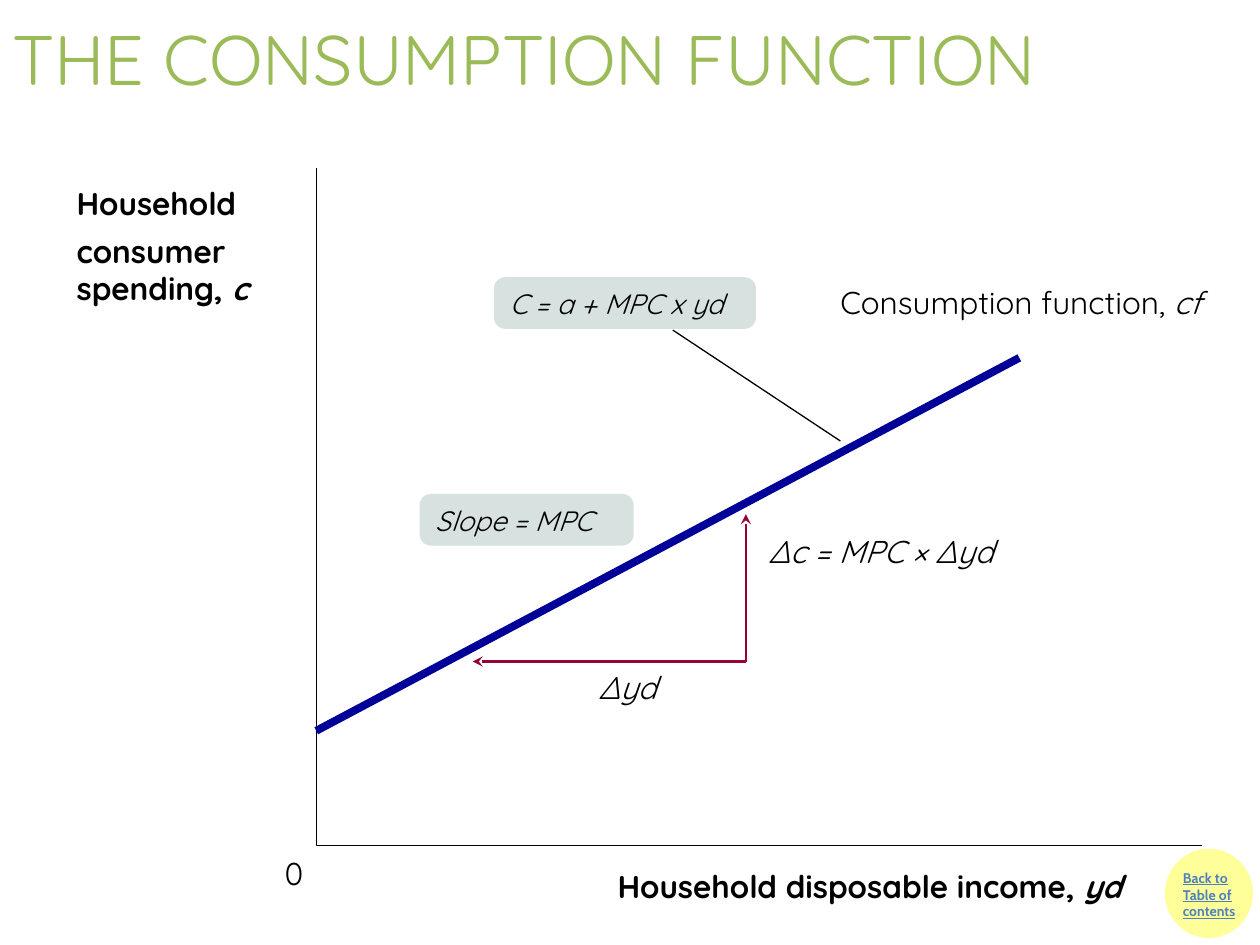
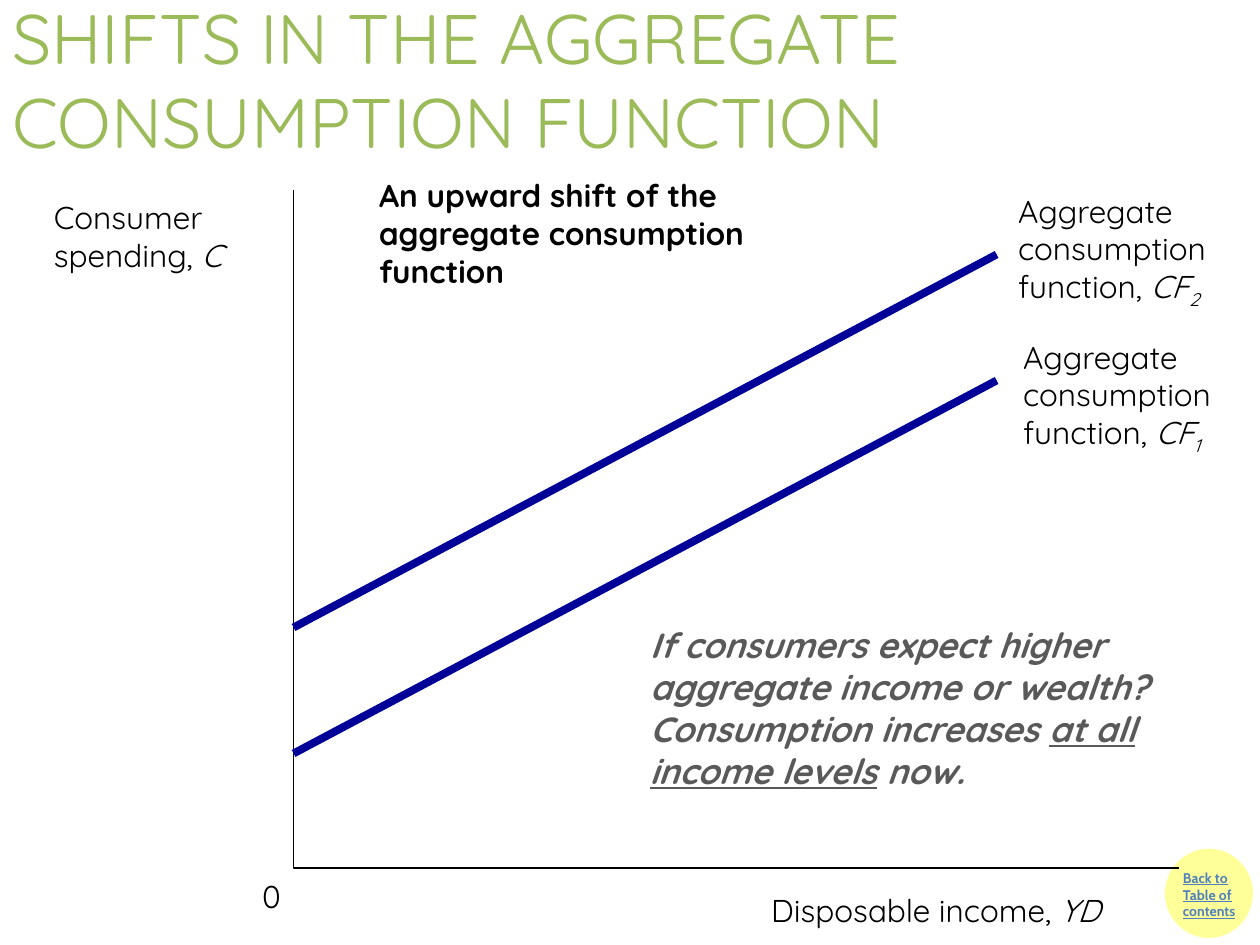
from lxml.etree import SubElement
from pptx import Presentation
from pptx.dml.color import RGBColor
from pptx.enum.shapes import MSO_CONNECTOR, MSO_SHAPE
from pptx.enum.text import MSO_ANCHOR, PP_ALIGN
from pptx.oxml.ns import qn
from pptx.util import Inches, Pt

COLORS = {"title": "9BBB59", "text": "000000", "note": "595959",
          "curve": "000099", "change": "990033", "pill": "D7E2E0",
          "badge": "FFFF99", "link": "4F81BD"}
ITALIC = {"italic": True}
BOLD = {"bold": True}
SUBSCRIPT = {"baseline": -25000}

AXIS_W, AXIS_H = 7.03, 5.38
CURVE_RUN, CURVE_RISE = 5.58, 2.96


def rgb(name):
    return RGBColor.from_string(COLORS[name])


class Deck:
    """Holds the shared style and the slide being built."""
    base = {"name": "Quicksand", "size": 18, "color": "text"}

    def __init__(self):
        self.prs = Presentation()
        self.prs.slide_width, self.prs.slide_height = Inches(10), Inches(7.5)
        self.s = None

    def slide(self, title, title_height):
        self.s = self.prs.slides.add_slide(self.prs.slide_layouts[6])
        self.badge()
        self.text(0, 0, 10, title_height, [title],
                  {"size": 40, "color": "title"}, anchor=MSO_ANCHOR.MIDDLE)

    def badge(self):
        sp = self.shape(MSO_SHAPE.OVAL, 9.26, 6.75, 0.67, 0.68, "badge")
        sp.line.color.rgb = rgb("badge")
        sp.line.width = Pt(2)
        self.text(9.29, 6.85, 0.72, 0.67, ["Back to Table of contents"],
                  {"name": "Cabin", "size": 8, "color": "link",
                   "bold": True, "underline": True})

    def shape(self, kind, x, y, w, h, fill):
        sp = self.s.shapes.add_shape(kind, *map(Inches, (x, y, w, h)))
        sp.shadow.inherit = False
        sp.fill.solid()
        sp.fill.fore_color.rgb = rgb(fill)
        sp.line.fill.background()
        return sp

    def text(self, x, y, w, h, paragraphs, style=None, **layout):
        sp = self.s.shapes.add_textbox(*map(Inches, (x, y, w, h)))
        self.fill_frame(sp.text_frame, paragraphs, style or {}, **layout)

    def fill_frame(self, tf, paragraphs, style, inset=(0.1, 0.05),
                   anchor=MSO_ANCHOR.TOP, align=PP_ALIGN.LEFT, first_spacing=None):
        """Write paragraphs, each a string or a list of strings and (text, format) pairs."""
        tf.word_wrap = True
        tf.vertical_anchor = anchor
        tf.margin_left = tf.margin_right = Inches(inset[0])
        tf.margin_top = tf.margin_bottom = Inches(inset[1])
        for i, runs in enumerate(paragraphs):
            p = tf.add_paragraph() if i else tf.paragraphs[0]
            p.alignment = align
            if first_spacing and not i:
                p.line_spacing = first_spacing
            for run in [runs] if isinstance(runs, str) else runs:
                words, extra = (run, {}) if isinstance(run, str) else run
                r = p.add_run()
                r.text = words
                self.format_run(r, {**self.base, **style, **extra})

    def format_run(self, r, fmt):
        for key, value in fmt.items():
            if key == "color":
                r.font.color.rgb = rgb(value)
            elif key == "baseline":
                r._r.get_or_add_rPr().set("baseline", str(value))
            else:
                setattr(r.font, key, Pt(value) if key == "size" else value)

    def pill(self, x, y, w, words):
        sp = self.shape(MSO_SHAPE.ROUNDED_RECTANGLE, x, y, w, 0.41, "pill")
        sp.adjustments[0] = 0.22
        self.fill_frame(sp.text_frame, [words], {"size": 16, **ITALIC})

    def line(self, start, end, color, width, arrow=False):
        c = self.s.shapes.add_connector(
            MSO_CONNECTOR.STRAIGHT, *map(Inches, (*start, *end)))
        c.line.color.rgb = rgb(color)
        c.line.width = Pt(width)
        if arrow:
            SubElement(c.line._get_or_add_ln(), qn("a:tailEnd"), type="stealth")
        SubElement(c._element.spPr, qn("a:effectLst"))

    def curve(self, x, y):
        self.line((x, y), (x + CURVE_RUN, y - CURVE_RISE), "curve", 4.5)

    def axes(self, x, y):
        """Draw both axes from the origin (x, y) and label the origin."""
        fb = self.s.shapes.build_freeform(Inches(x + AXIS_W), Inches(y))
        fb.add_line_segments([(Inches(x), Inches(y)),
                              (Inches(x), Inches(y - AXIS_H))], close=False)
        sp = fb.convert_to_shape()
        sp.shadow.inherit = False
        sp.fill.background()
        sp.line.color.rgb = rgb("text")
        sp.line.width = Pt(0)
        self.text(x - 0.25, y + 0.07, 0.14, 0.3, ["0"], inset=(0, 0))


def consumption_function(d):
    d.slide("THE CONSUMPTION FUNCTION", 0.92)
    d.axes(2.51, 6.71)
    d.curve(2.51, 5.8)
    d.text(0.51, 1.34, 2, 1.16,
           ["Household consumer", ["spending, ", ("c", ITALIC)]],
           BOLD, first_spacing=1.25)
    d.text(4.5, 6.83, 4.5, 0.4,
           [["Household disposable income, ", ("yd", ITALIC)]],
           BOLD, align=PP_ALIGN.RIGHT)
    d.text(6.67, 2.25, 3.13, 0.3,
           [["Consumption function, ", ("cf", ITALIC)]], inset=(0, 0))
    d.pill(3.33, 3.92, 1.7, "Slope = MPC")
    d.pill(3.92, 2.2, 2.08, "C = a + MPC x yd")
    d.line((5.34, 2.62), (6.67, 3.5), "text", 0.75)
    corner = (5.92, 5.25)
    for tip in ((3.75, 5.25), (5.92, 4.08)):
        d.line(corner, tip, "change", 1.5, arrow=True)
    d.text(6, 4.17, 2.42, 0.4, ["∆c = MPC × ∆yd"], ITALIC)
    d.text(4.65, 5.25, 0.77, 0.4, ["∆yd"], ITALIC)


def aggregate_shifts(d):
    d.slide("SHIFTS IN THE AGGREGATE CONSUMPTION FUNCTION", 1.25)
    d.axes(2.33, 6.89)
    d.text(0.33, 1.52, 2, 0.71, ["Consumer", ["spending, ", ("C", ITALIC)]])
    d.text(4.66, 7.02, 4.17, 0.4,
           [["Disposable income, ", ("YD", ITALIC)]], align=PP_ALIGN.RIGHT)
    for number, curve_y, label_x, label_y in (("1", 5.98, 8.12, 2.68),
                                              ("2", 4.98, 8.08, 1.52)):
        d.curve(2.33, curve_y)
        d.text(label_x, label_y, 1.6, 0.91,
               ["Aggregate", "consumption",
                ["function, ", ("CF", ITALIC), (number, {**ITALIC, **SUBSCRIPT})]],
               inset=(0, 0))
    d.text(2.91, 1.35, 4.08, 1.01,
           ["An upward shift of the", "aggregate consumption function"], BOLD)
    d.text(5.06, 4.9, 4.29, 1.45,
           [["If consumers expect higher aggregate income or wealth? "
             "Consumption increases ",
             ("at all income levels", {"underline": True}), " now."]],
           {"size": 20, "color": "note", **BOLD, **ITALIC})


def main():
    d = Deck()
    consumption_function(d)
    aggregate_shifts(d)
    d.prs.save("out.pptx")


if __name__ == "__main__":
    main()
